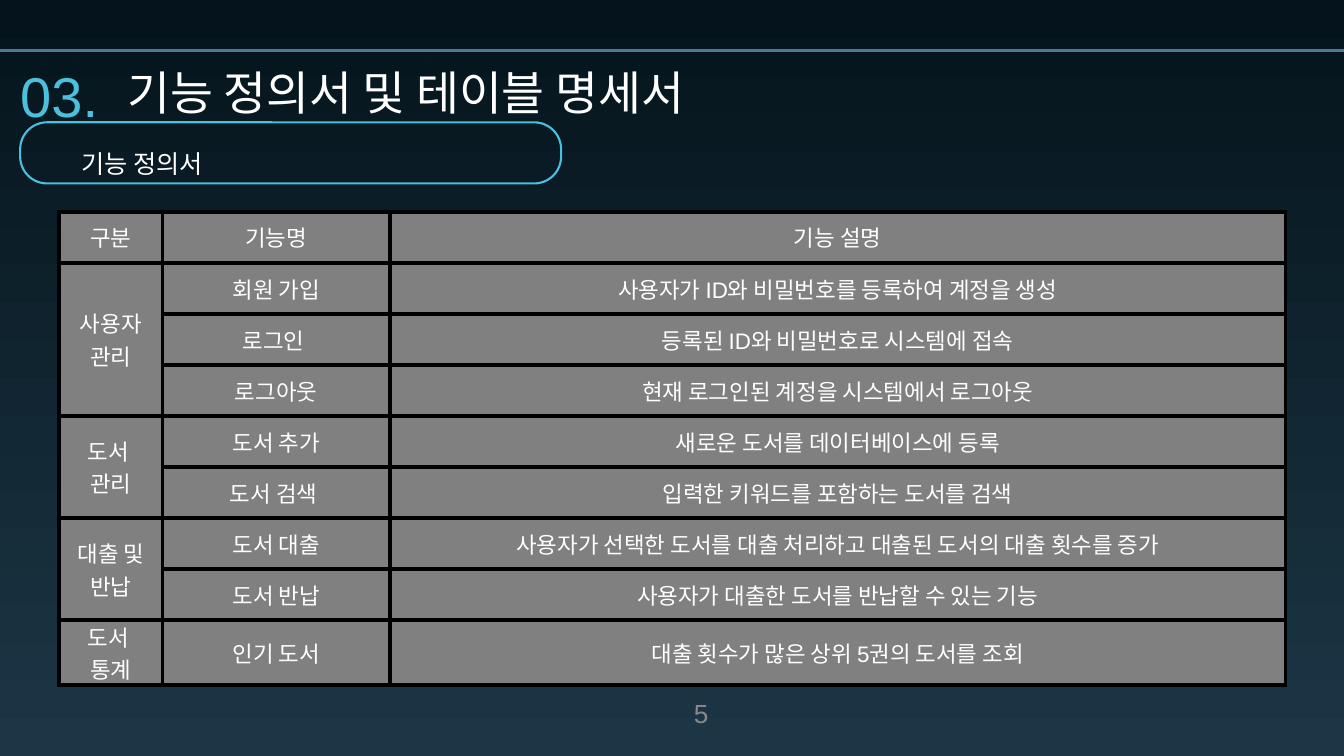
from dataclasses import dataclass

from lxml.etree import SubElement as Sub
from pptx import Presentation
from pptx.dml.color import RGBColor as Rgb
from pptx.enum.shapes import MSO_CONNECTOR as Conn, MSO_SHAPE as Kind
from pptx.enum.text import MSO_ANCHOR as Anchor, MSO_AUTO_SIZE as Fit, PP_ALIGN as Align
from pptx.oxml.ns import qn
from pptx.util import Inches, Pt


@dataclass(frozen=True)
class Theme:
    font: str = "Arial"
    top: str = "05141C"
    base: str = "1C3645"
    rule: str = "497B97"
    accent: str = "4AC0DE"
    text: str = "FFFFFF"
    cell: str = "808080"
    edge: str = "000000"
    muted: str = "888888"
    number: int = 60
    title: int = 50
    label: int = 27
    body: int = 24
    page: int = 28


T = Theme()
WIDTH, HEIGHT = Inches(20), Inches(11.25)
UNIT = WIDTH / 100  # square grid: 100 columns by 56.25 rows

COLS = (7.7, 16.9, 66.65)
ROW = 3.8
HEAD = ("구분", "기능명", "기능 설명")
GROUPS = (
    ("사용자 관리", (
        ("회원 가입", "사용자가 ID와 비밀번호를 등록하여 계정을 생성"),
        ("로그인 ", "등록된 ID와 비밀번호로 시스템에 접속"),
        ("로그아웃", "현재 로그인된 계정을 시스템에서 로그아웃"))),
    ("도서 \n관리", (
        ("도서 추가", "새로운 도서를 데이터베이스에 등록"),
        ("도서 검색 ", "입력한 키워드를 포함하는 도서를 검색"))),
    ("대출 및 반납", (
        ("도서 대출", "사용자가 선택한 도서를 대출 처리하고 대출된 도서의 대출 횟수를 증가"),
        ("도서 반납", "사용자가 대출한 도서를 반납할 수 있는 기능"))),
    ("도서 \n통계", (
        ("인기 도서", "대출 횟수가 많은 상위 5권의 도서를 조회"),)),
)


def grid(*cells):
    return [round(n * UNIT) for n in cells]


def paint(slide):
    fill = slide.background.fill
    fill.gradient()
    fill.gradient_angle = 270
    for stop, tone, at in zip(fill.gradient_stops, (T.top, T.base), (0, 1)):
        stop.color.rgb = Rgb.from_string(tone)
        stop.position = at


def write(frame, text, size, tone, align, space=None):
    frame.text = text
    for para in frame.paragraphs:
        para.alignment = align
        para.line_spacing = space
        for run in para.runs:
            run.font.name, run.font.size = T.font, Pt(size)
            run.font.color.rgb = Rgb.from_string(tone)


def label(slide, area, text, size, tone, align, space):
    frame = slide.shapes.add_textbox(*grid(*area)).text_frame
    frame.word_wrap = True
    frame.auto_size = Fit.SHAPE_TO_FIT_TEXT
    frame.margin_left = frame.margin_right = 0
    frame.margin_top = frame.margin_bottom = 0
    write(frame, text, size, tone, align, space)


def page(slide, area, text):
    frame = slide.shapes.add_textbox(*grid(*area)).text_frame
    frame.word_wrap = True
    frame.vertical_anchor = Anchor.MIDDLE
    write(frame, text, T.page, T.muted, Align.RIGHT)


def rule(slide, row):
    line = slide.shapes.add_connector(Conn.STRAIGHT, *grid(0, row, 100, row))
    line.line.color.rgb = Rgb.from_string(T.rule)
    line.line.width = Pt(3)
    Sub(line._element.spPr, qn("a:effectLst"))


def pill(slide, area):
    shape = slide.shapes.add_shape(Kind.ROUNDED_RECTANGLE, *grid(*area))
    shape.adjustments[0] = 0.44
    shape.shadow.inherit = False
    shape.fill.background()
    shape.line.color.rgb = Rgb.from_string(T.accent)
    shape.line.width = Pt(2.25)


def style(cell):
    props = cell._tc.get_or_add_tcPr()
    for side in ("lnL", "lnR", "lnT", "lnB"):
        line = Sub(props, qn(f"a:{side}"), w=str(Pt(4.5)))
        Sub(Sub(line, qn("a:solidFill")), qn("a:srgbClr"), val=T.edge)
    cell.fill.solid()
    cell.fill.fore_color.rgb = Rgb.from_string(T.cell)
    cell.vertical_anchor = Anchor.MIDDLE
    cell.margin_left = cell.margin_right = Inches(0.04)
    cell.margin_top = cell.margin_bottom = 0


def spec_table(slide, left, top):
    count = 1 + sum(len(items) for _, items in GROUPS)
    area = grid(left, top, sum(COLS), ROW * count)
    table = slide.shapes.add_table(count, len(COLS), *area).table
    table.first_row = table.horz_banding = False
    for col, width in zip(table.columns, grid(*COLS)):
        col.width = width
    for row in table.rows:
        row.height = grid(ROW)[0]
    for cell in table.iter_cells():
        style(cell)

    def put(row, col, text):
        write(table.cell(row, col).text_frame, text, T.body, T.text, Align.CENTER)

    for col, text in enumerate(HEAD):
        put(0, col, text)
    row = 1
    for group, items in GROUPS:
        # One group cell spans all of its functions
        if len(items) > 1:
            table.cell(row, 0).merge(table.cell(row + len(items) - 1, 0))
        put(row, 0, group)
        for name, note in items:
            put(row, 1, name)
            put(row, 2, note)
            row += 1


def main():
    deck = Presentation()
    deck.slide_width, deck.slide_height = WIDTH, HEIGHT
    slide = deck.slides.add_slide(deck.slide_layouts[6])
    paint(slide)
    rule(slide, 3.75)

    # Function table
    spec_table(slide, 4.4, 15.75)

    # Heading
    label(slide, (0.45, 3.1, 7.9, 6.55), "03.", T.number, T.accent, Align.CENTER, 1.3)
    label(slide, (3.5, 3.95, 53.4, 5.05), "기능 정의서 및 테이블 명세서",
          T.title, T.text, Align.CENTER, 1.2)

    # Section label
    pill(slide, (1.5, 9.1, 40.25, 4.55))
    label(slide, (6.05, 9.65, 33.45, 3.65), "기능 정의서",
          T.label, T.text, Align.LEFT, 1.6)

    # Page number
    page(slide, (37.9, 50.15, 15.3, 5.85), "5")
    deck.save("out.pptx")


if __name__ == "__main__":
    main()
